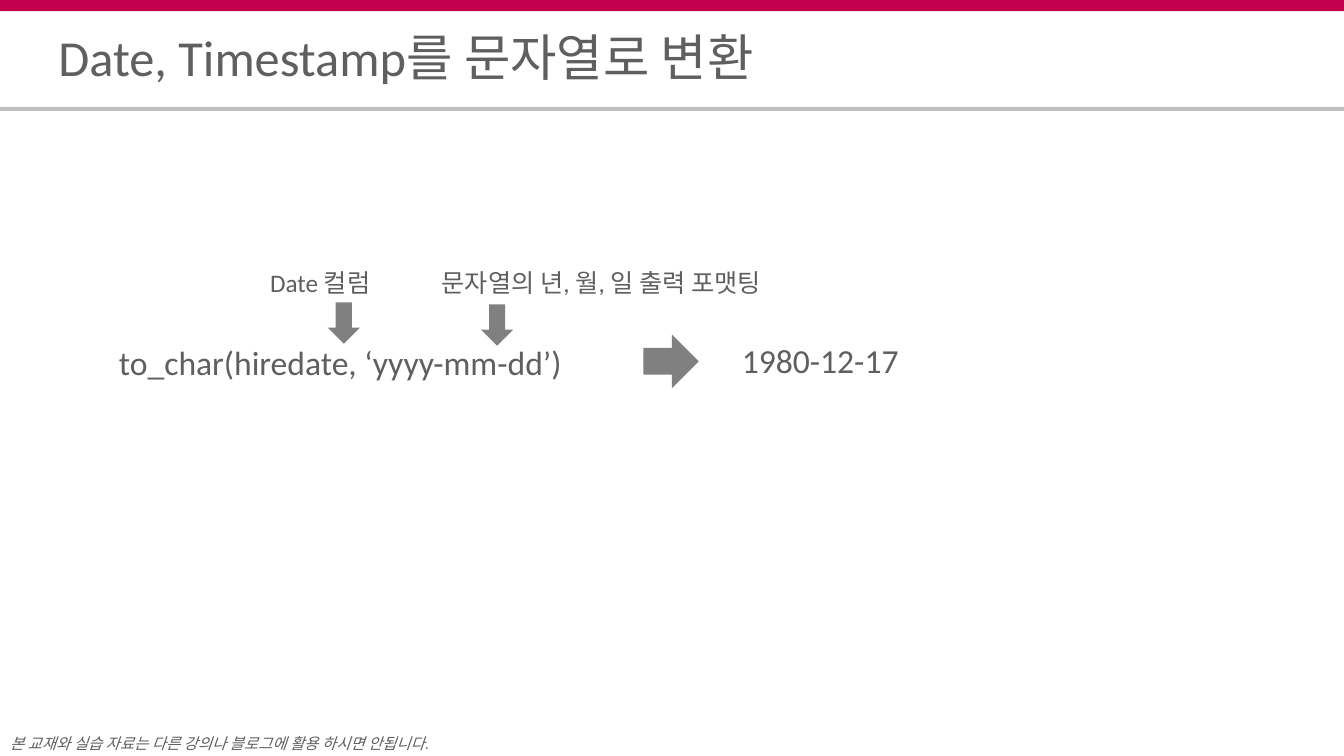
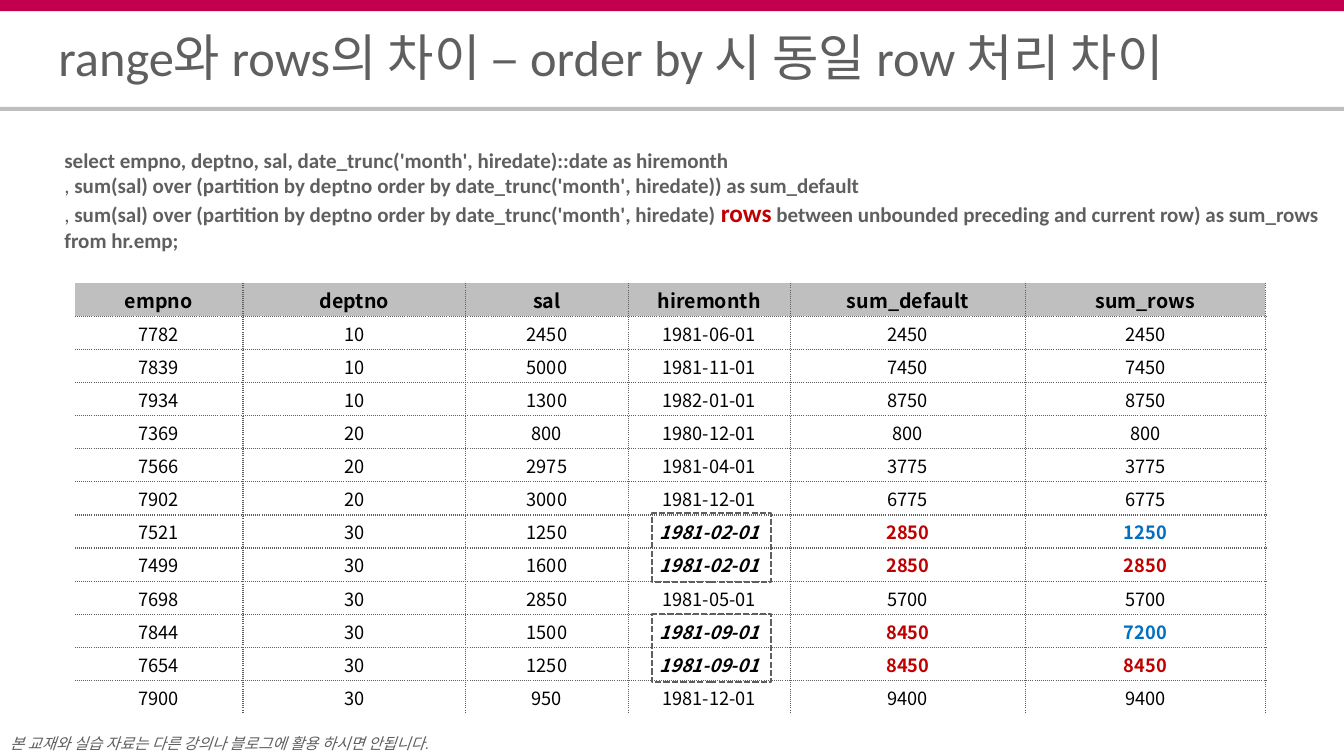
from collections import Counter

from lxml import etree
from pptx import Presentation
from pptx import util as u
from pptx.dml.color import RGBColor
from pptx.enum import shapes, text
from pptx.oxml import ns

COLORS = {
    "brand": "C3004D",
    "rule": "BFBFBF",
    "body": "5F5F5F",
    "arrow": "808080",
    "cell": "000000",
    "red": "C00000",
    "blue": "0070C0",
}
HEADER = ["empno", "deptno", "sal", "hiremonth", "sum_default", "sum_rows"]
COLUMN_WIDTHS = [1.67, 2.21, 1.61, 1.61, 2.33, 2.38]
EMPLOYEES = [
    ("7782", "10", "2450", "1981-06-01", "2450", "2450"),
    ("7839", "10", "5000", "1981-11-01", "7450", "7450"),
    ("7934", "10", "1300", "1982-01-01", "8750", "8750"),
    ("7369", "20", "800", "1980-12-01", "800", "800"),
    ("7566", "20", "2975", "1981-04-01", "3775", "3775"),
    ("7902", "20", "3000", "1981-12-01", "6775", "6775"),
    ("7521", "30", "1250", "1981-02-01", "2850", "1250"),
    ("7499", "30", "1600", "1981-02-01", "2850", "2850"),
    ("7698", "30", "2850", "1981-05-01", "5700", "5700"),
    ("7844", "30", "1500", "1981-09-01", "8450", "7200"),
    ("7654", "30", "1250", "1981-09-01", "8450", "8450"),
    ("7900", "30", "950", "1981-12-01", "9400", "9400"),
]


class Lecture:
    """Hold the shared lecture style and draw elements on the current slide."""

    def __init__(self):
        self.deck = Presentation()
        self.deck.slide_width = u.Inches(13.33)
        self.deck.slide_height = u.Inches(7.5)
        self.page = None

    def color(self, name):
        return RGBColor.from_string(COLORS[name])

    def style(self, font, size, name="Calibri", color="body", bold=False, italic=False):
        font.size = u.Pt(size)
        font.name = name
        font.color.rgb = self.color(color)
        font.bold = bold
        font.italic = italic

    def start_page(self, title):
        self.page = self.deck.slides.add_slide(self.deck.slide_layouts[6])
        self.shape("RECTANGLE", (0, 0, 13.33, 0.11), "brand")
        self.shape("RECTANGLE", (0, 1.06, 13.33, 0.04), "rule")
        self.label("본 교재와 실습 자료는 다른 강의나 블로그에 활용 하시면 안됩니다.",
                   (0.1, 7.19, 4.81, 0.31), 11, spacing=1.5, name="Arial", italic=True)
        self.label(title, (0.58, 0.33, 12.17, 0.58), 36, spacing=0.8, middle=True)

    def shape(self, kind, place, fill=None):
        shape = self.page.shapes.add_shape(shapes.MSO_SHAPE[kind], *map(u.Inches, place))
        shape.shadow.inherit = False
        if fill:
            shape.fill.solid()
            shape.fill.fore_color.rgb = self.color(fill)
            shape.line.fill.background()
        else:
            shape.fill.background()
        return shape

    def dashed_frame(self, place):
        line = self.shape("RECTANGLE", place).line
        line.color.rgb = self.color("body")
        line.width = u.Pt(1.5)
        dash = etree.SubElement(line.fill._xPr, ns.qn("a:prstDash"))
        dash.set("val", "sysDash")

    def text_frame(self, place, wrap=True):
        box = self.page.shapes.add_textbox(*map(u.Inches, place))
        box.text_frame.word_wrap = wrap
        return box.text_frame

    def label(self, words, place, size, spacing=1.1, middle=False, centered=False, **look):
        frame = self.text_frame(place)
        frame.margin_left = frame.margin_right = frame.margin_top = frame.margin_bottom = 0
        if middle:
            frame.vertical_anchor = text.MSO_ANCHOR.MIDDLE
        para = frame.paragraphs[0]
        para.text = words
        para.line_spacing = spacing
        if centered:
            para.alignment = text.PP_ALIGN.CENTER
        self.style(para.font, size, **look)

    def result(self, words, place):
        para = self.text_frame(place, wrap=False).paragraphs[0]
        para.text = words
        self.style(para.font, 24)

    def query(self, lines, place):
        frame = self.text_frame(place)
        for index, spans in enumerate(lines):
            para = frame.add_paragraph() if index else frame.paragraphs[0]
            self.style(para.font, 15, bold=True)
            for words, look in spans:
                span = para.add_run()
                span.text = words
                if look:
                    self.style(span.font, **look)

    def border(self, cell, side, visible):
        line = etree.SubElement(cell._tc.get_or_add_tcPr(), ns.qn(f"a:ln{side}"), w=str(u.Pt(1)))
        if not visible:
            etree.SubElement(line, ns.qn("a:noFill"))
            return
        fill = etree.SubElement(line, ns.qn("a:solidFill"))
        etree.SubElement(fill, ns.qn("a:srgbClr"), val=COLORS["body"])
        etree.SubElement(line, ns.qn("a:prstDash"), val="sysDot")

    def table(self, rows, widths, place, looks):
        table = self.page.shapes.add_table(len(rows), len(widths), *map(u.Inches, place)).table
        table.first_row = table.horz_banding = False
        for column, width in zip(table.columns, widths):
            column.width = u.Inches(width)
        for r, values in enumerate(rows):
            for c, value in enumerate(values):
                cell = table.cell(r, c)
                cell.margin_left = cell.margin_right = cell.margin_top = u.Inches(0.01)
                cell.margin_bottom = 0
                cell.vertical_anchor = text.MSO_ANCHOR.MIDDLE
                edges = {"L": c > 0, "R": True, "T": r > 0, "B": r < len(rows) - 1}
                for side, visible in edges.items():
                    self.border(cell, side, visible)
                if r:
                    cell.fill.background()
                else:
                    cell.fill.solid()
                    cell.fill.fore_color.rgb = self.color("rule")
                para = cell.text_frame.paragraphs[0]
                para.text = value
                para.alignment = text.PP_ALIGN.CENTER
                look = {"size": 13, "color": "cell", **looks.get((r, c), {})}
                self.style(para.font, name="Noto Sans CJK KR", **look)


def table_looks():
    looks = {(0, c): {"size": 14, "bold": True} for c in range(len(HEADER))}
    counts = Counter((row[1], row[3]) for row in EMPLOYEES)
    for r, (_, dept, _, month, sum_default, sum_rows) in enumerate(EMPLOYEES, 1):
        if counts[dept, month] > 1:
            looks[r, 3] = {"bold": True, "italic": True}
            looks[r, 4] = {"bold": True, "color": "red"}
            looks[r, 5] = {"bold": True, "color": "red" if sum_rows == sum_default else "blue"}
    return looks


def build_to_char(lecture):
    lecture.start_page("Date, Timestamp를 문자열로 변환")
    lecture.label("to_char(hiredate, ‘yyyy-mm-dd’)", (1.18, 3.35, 8.1, 0.72), 24)
    for words, left, width in (("Date 컬럼", 2.2, 1.95),
                               ("문자열의 년, 월, 일 출력 포맷팅", 4.23, 3.47)):
        lecture.label(words, (left, 2.46, width, 0.65), 18, middle=True, centered=True)
    for left, top in ((3.25, 3), (4.77, 3.02)):
        lecture.shape("DOWN_ARROW", (left, top, 0.32, 0.41), "arrow")
    lecture.shape("RIGHT_ARROW", (6.38, 3.32, 0.55, 0.53), "arrow")
    lecture.result("1980-12-17", (7.26, 3.32, 1.77, 0.5))


def build_range_rows(lecture):
    lecture.start_page("range와 rows의 차이 – order by 시 동일 row 처리 차이")
    comma = (", ", {"size": 15})
    window = "sum(sal) over (partition by deptno order by date_trunc('month', hiredate)"
    lecture.table([HEADER, *EMPLOYEES], COLUMN_WIDTHS, (0.74, 2.81, 11.81, 4.27), table_looks())
    lecture.query([
        [("select empno, deptno, sal, date_trunc('month', hiredate)::date as hiremonth", None)],
        [comma, (window + ") as sum_default", None)],
        [comma, (window + " ", None),
         ("rows", {"size": 18, "color": "red", "bold": True}),
         (" between unbounded preceding and current row) as sum_rows", None)],
        [("from hr.emp;", None)],
    ], (0.54, 1.41, 12.79, 1.16))
    for top in (5.09, 6.09):
        lecture.dashed_frame((6.47, top, 1.18, 0.68))


def main():
    lecture = Lecture()
    build_to_char(lecture)
    build_range_rows(lecture)
    lecture.deck.save("out.pptx")


if __name__ == "__main__":
    main()
